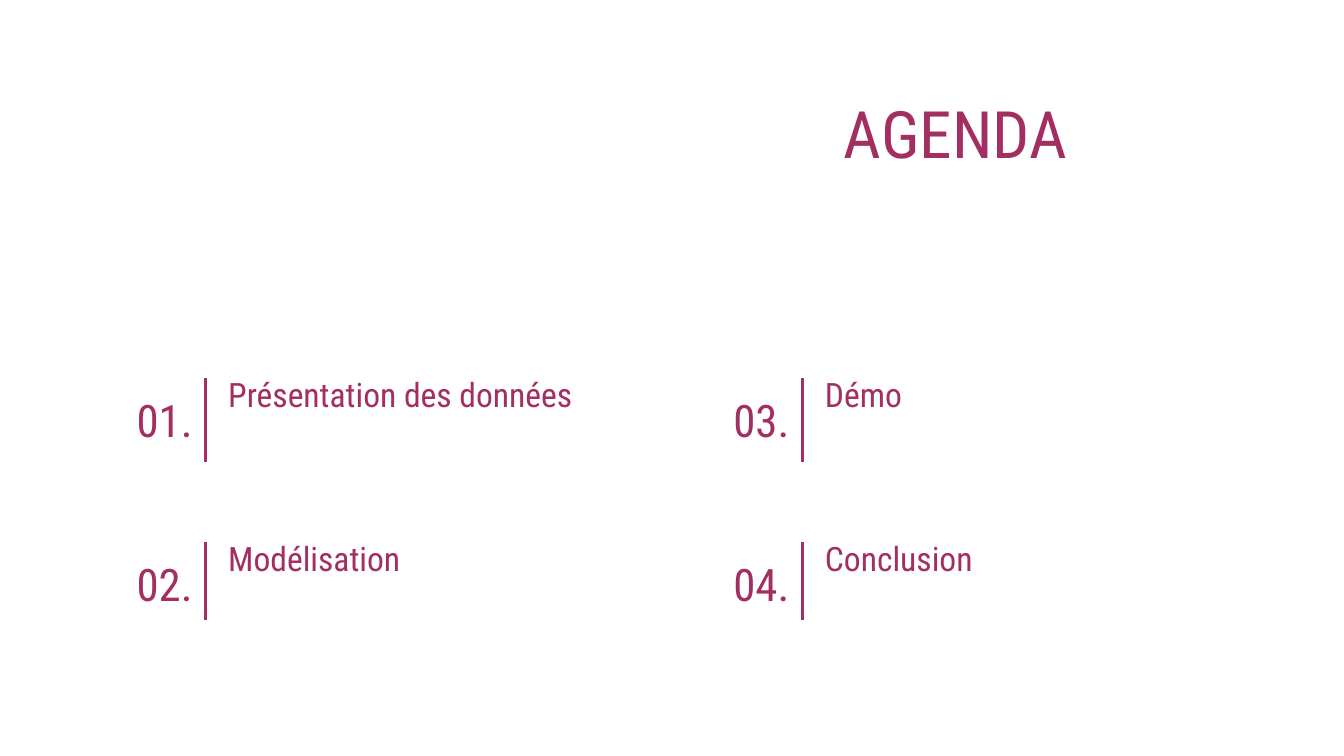
from lxml.etree import SubElement
from pptx import Presentation
from pptx.dml.color import RGBColor
from pptx.enum.shapes import MSO_CONNECTOR
from pptx.enum.text import MSO_ANCHOR, PP_ALIGN
from pptx.oxml.ns import qn
from pptx.util import Inches, Pt

WIDTH = 10
HEIGHT = WIDTH * 9 / 16
FONT = "Roboto Condensed"
BERRY = "A32E61"

# Agenda grid: origin and steps between entries, and the rule height of each row
LEFT, TOP = 0.86, 2.81
COL_STEP, ROW_STEP = 4.44, 1.22
RULE_HEIGHTS = [0.63, 0.58]
COLUMNS = [
    ["Présentation des données", "Modélisation"],
    ["Démo", "Conclusion"],
]

# Text formats
TITLE = {"size": Pt(35), "align": PP_ALIGN.CENTER, "anchor": MSO_ANCHOR.TOP}
NUMBER = {"size": Pt(24), "align": PP_ALIGN.CENTER, "anchor": MSO_ANCHOR.MIDDLE}
TOPIC = {"size": Pt(18), "align": PP_ALIGN.LEFT, "anchor": MSO_ANCHOR.TOP}


def set_color(color_format, value):
    color_format.rgb = RGBColor.from_string(value)


def add_text(s, text, x, y, w, h, style):
    sp = s.shapes.add_textbox(Inches(x), Inches(y), Inches(w), Inches(h))
    tf = sp.text_frame
    frame = {"word_wrap": True, "vertical_anchor": style["anchor"]}
    for side in ("left", "top", "right", "bottom"):
        frame[f"margin_{side}"] = Inches(0.1)
    for name, value in frame.items():
        setattr(tf, name, value)
    p = tf.paragraphs[0]
    p.alignment = style["align"]
    r = p.add_run()
    r.text = text
    for name, value in {"name": FONT, "size": style["size"]}.items():
        setattr(r.font, name, value)
    set_color(r.font.color, BERRY)


def add_rule(s, x, y, h):
    line = s.shapes.add_connector(
        MSO_CONNECTOR.STRAIGHT, Inches(x), Inches(y), Inches(x), Inches(y + h))
    line.line.width = Pt(1.5)
    set_color(line.line.color, BERRY)
    SubElement(line._element.spPr, qn("a:effectLst"))


def add_entry(s, number, topic, x, y, rule_height):
    add_text(s, f"{number:02d}.", x, y, 0.73, 0.63, NUMBER)
    add_text(s, topic, x + 0.74, y - 0.13, 2.77, 0.49, TOPIC)
    add_rule(s, x + 0.67, y, rule_height)


def main():
    prs = Presentation()
    prs.slide_width, prs.slide_height = Inches(WIDTH), Inches(HEIGHT)
    s = prs.slides.add_slide(prs.slide_layouts[6])

    # Background
    fill = s.background.fill
    fill.solid()
    set_color(fill.fore_color, "FFFFFF")

    # Heading, in the right half
    add_text(s, "AGENDA", WIDTH / 2, 0.59, 4.22, 0.92, TITLE)

    # Entries, numbered down each column
    for col, topics in enumerate(COLUMNS):
        for row, topic in enumerate(topics):
            number = col * len(topics) + row + 1
            add_entry(s, number, topic, LEFT + col * COL_STEP,
                      TOP + row * ROW_STEP, RULE_HEIGHTS[row])

    prs.save("out.pptx")


if __name__ == "__main__":
    main()
